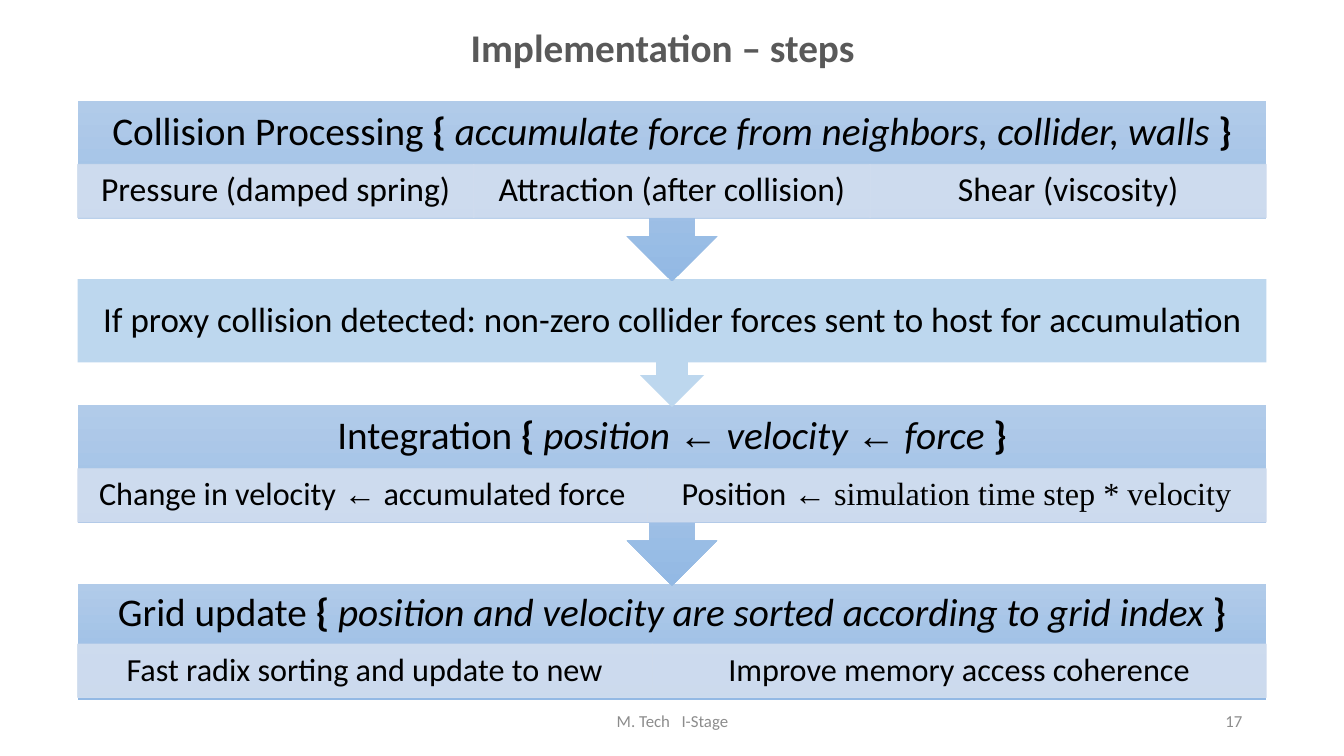
"""Build the slide of implementation steps as a chain of callout bands."""
from pptx import Presentation
from pptx.dml.color import RGBColor
from pptx.enum.shapes import MSO_SHAPE as Shape
from pptx.enum.text import MSO_ANCHOR as Anchor, PP_ALIGN as Align
from pptx.oxml.ns import qn
from pptx.util import Inches, Pt
from lxml.etree import SubElement

THEME = {
    "title": "595959", "footer": "8C8C8C", "text": "000000",
    "band": ("B1CBE9", "93B9E4"), "plain": "BDD7EE", "cell": "D2DEEF",
    "title_size": 28, "footer_size": 12, "head_size": 28,
    "font": "Calibri", "symbol_font": "Times New Roman",
}
STYLES = {
    "": {},
    "bold": {"bold": True},
    "italic": {"italic": True},
    "symbol": {"name": THEME["symbol_font"]},
}
TITLE = [("Implementation – steps", "bold")]
FOOTER = [("M. Tech", ""), (" ", "wide"), ("I-Stage", "")]
PAGE = [("17", "")]
WIDE_GAP = "540"

STEPS = [
    {"top": 1, "height": 1.79, "head_height": 0.63, "cell_size": 24,
     "head": [("Collision Processing ", ""), ("{ ", "bold"),
              ("accumulate force from neighbors, collider, walls ", "italic"), ("}", "bold")],
     "cells": [(3.93, [("Pressure (damped spring)", "")]),
               (3.93, [("Attraction (after collision)", "")]),
               (3.93, [("Shear (viscosity)", "")])]},
    {"top": 2.77, "height": 1.27, "head_height": 0.83, "head_size": 25, "plain": True,
     "head": [("If proxy collision detected: non-zero collider forces "
               "sent to host for accumulation", "")],
     "cells": []},
    {"top": 4.02, "height": 1.79, "head_height": 0.63, "cell_size": 23,
     "head": [("Integration", ""), (" { ", "bold"), ("position ", "italic"), ("←", "symbol"),
              (" velocity ", "italic"), ("←", "symbol"), (" force ", "italic"), ("}", "bold")],
     "cells": [(5.65, [("Change in velocity ", ""), ("←", "symbol"),
                       (" accumulated force", "")]),
               (6.14, [("Position ", ""),
                       ("← simulation time step * velocity", "symbol")])]},
    {"top": 5.79, "height": 1.16, "head_height": 0.6, "cell_size": 23, "last": True,
     "head": [("Grid update ", ""), ("{ ", "bold"),
              ("position and velocity are sorted according to grid index", "italic"),
              (" }", "bold")],
     "cells": [(5.7, [("Fast radix sorting and update to new", "")]),
               (6.09, [("Improve memory access coherence", "")])]},
]
LEFT, WIDTH, CELL_HEIGHT = 0.77, 11.79, 0.53


def rgb(key):
    return RGBColor.from_string(key)


def write(holder, runs, size, color, align=Align.CENTER, anchor=Anchor.MIDDLE,
          inset=(0.1, 0.05), wrap=True, spacing=None):
    frame = holder.text_frame
    side, edge = map(Inches, inset)
    settings = {"word_wrap": wrap, "vertical_anchor": anchor, "margin_left": side,
                "margin_right": side, "margin_top": edge, "margin_bottom": edge}
    for name, value in settings.items():
        setattr(frame, name, value)
    paragraph = frame.paragraphs[0]
    paragraph.alignment = align
    paragraph.line_spacing = spacing
    for words, style in runs:
        run = paragraph.add_run()
        run.text = words
        if style == "wide":
            run._r.get_or_add_rPr().set("spc", WIDE_GAP)
        look = {"name": THEME["font"], "size": Pt(size), **STYLES.get(style, {})}
        for name, value in look.items():
            setattr(run.font, name, value)
        run.font.color.rgb = rgb(color)


def add_text(slide, box, runs, size, color, **options):
    holder = slide.shapes.add_textbox(*map(Inches, box))
    write(holder, runs, size, color, **options)


def add_band(slide, step):
    preset = Shape.RECTANGLE if step.get("last") else Shape.DOWN_ARROW_CALLOUT
    band = slide.shapes.add_shape(
        preset, *map(Inches, (LEFT, step["top"], WIDTH, step["height"])))
    band.shadow.inherit = False
    band.line.fill.background()
    if step.get("plain"):
        band.fill.solid()
        band.fill.fore_color.rgb = rgb(THEME["plain"])
    else:
        band.fill.gradient()
        band.fill.gradient_angle = 270
        for stop, color in zip(band.fill.gradient_stops, THEME["band"]):
            stop.color.rgb = rgb(color)


def add_cell(slide, box, runs, size):
    cell = slide.shapes.add_shape(Shape.RECTANGLE, *map(Inches, box))
    cell.shadow.inherit = False
    cell.fill.solid()
    cell.fill.fore_color.rgb = rgb(THEME["cell"])
    cell.line.color.rgb = rgb(THEME["cell"])
    cell.line.width = Pt(0.5)
    for tint in cell.element.spPr.iter(qn("a:srgbClr")):
        SubElement(tint, qn("a:alpha")).set("val", "90000")
    write(cell, runs, size, THEME["text"], inset=(0.18, 0.03), spacing=0.9)


def add_step(slide, step):
    add_band(slide, step)
    head_box = (LEFT, step["top"], WIDTH, step["head_height"])
    add_text(slide, head_box, step["head"], step.get("head_size", THEME["head_size"]),
             THEME["text"], inset=(0.19, 0.05), spacing=0.9)
    left = LEFT
    for width, runs in step["cells"]:
        box = (left, step["top"] + step["head_height"], width, CELL_HEIGHT)
        add_cell(slide, box, runs, step["cell_size"])
        left += width


def main():
    deck = Presentation()
    deck.slide_width, deck.slide_height = Inches(13.33), Inches(7.5)
    slide = deck.slides.add_slide(deck.slide_layouts[6])
    add_text(slide, (4.57, 0.18, 4.02, 0.57), TITLE, THEME["title_size"], THEME["title"],
             align=Align.LEFT, anchor=Anchor.TOP, wrap=False)
    add_text(slide, (9.42, 6.95, 3, 0.4), PAGE, THEME["footer_size"], THEME["footer"],
             align=Align.RIGHT)
    add_text(slide, (4.42, 6.95, 4.5, 0.4), FOOTER, THEME["footer_size"], THEME["footer"])
    for step in reversed(STEPS):
        add_step(slide, step)
    deck.save("out.pptx")


if __name__ == "__main__":
    main()
